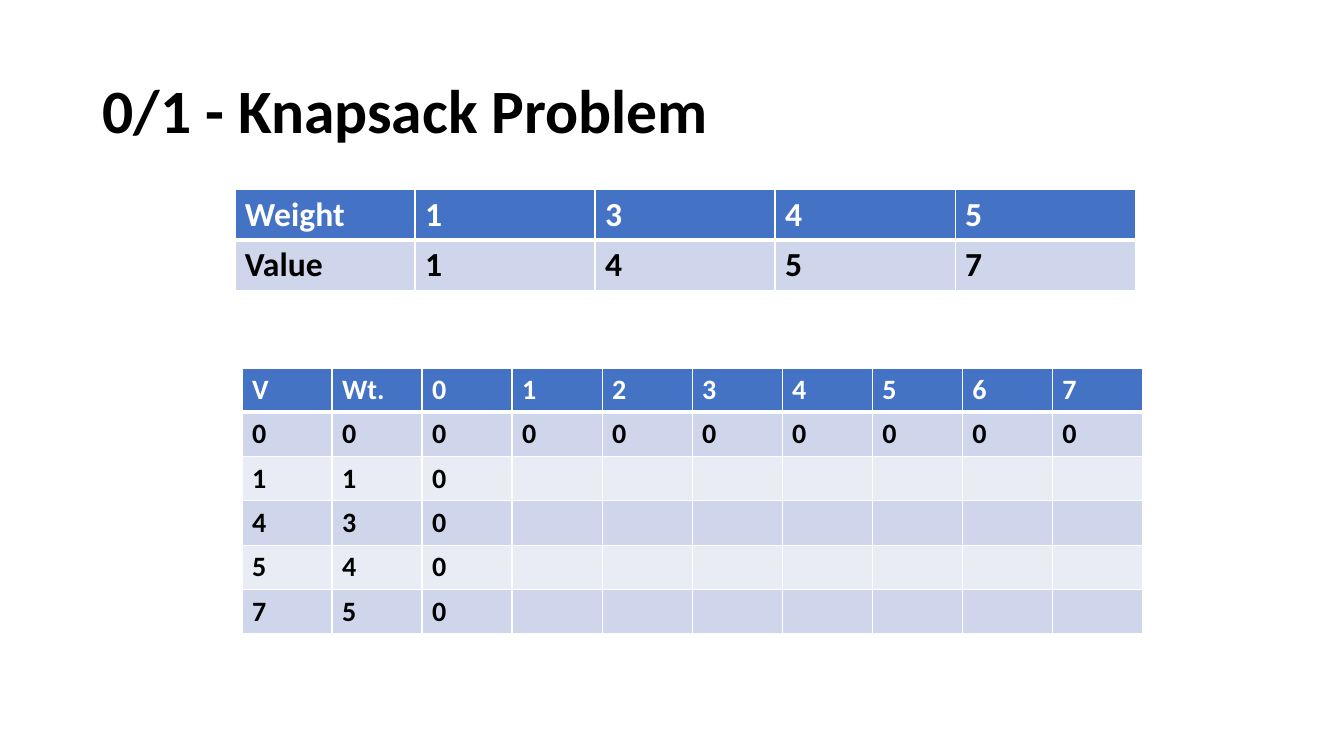
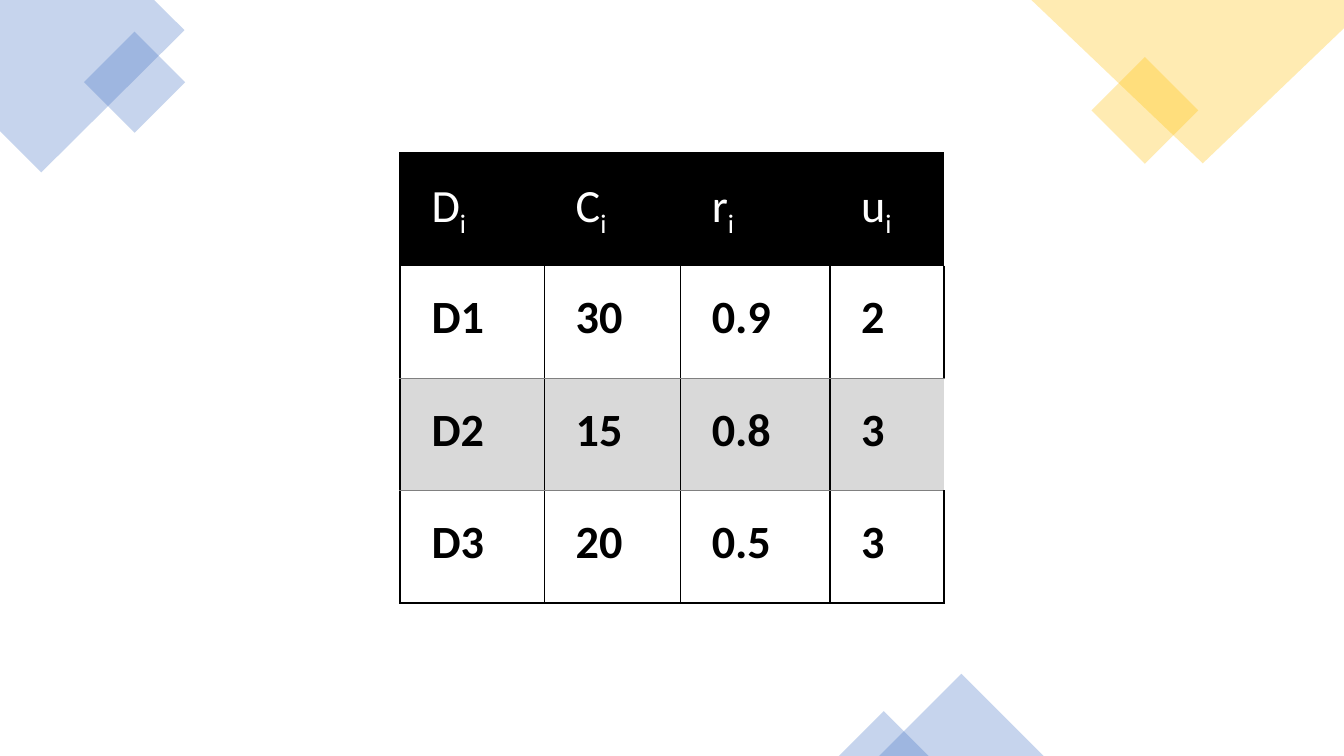
from pptx import Presentation
from pptx.dml.color import RGBColor
from pptx.enum.shapes import MSO_SHAPE
from pptx.enum.text import MSO_ANCHOR
from pptx.util import Inches, Pt
from lxml.etree import SubElement
from pptx.oxml.ns import qn

SLIDE_W, SLIDE_H = 13.33, 7.5
FONT = "Calibri"
WHITE = RGBColor(0xFF, 0xFF, 0xFF)
BLACK = RGBColor(0, 0, 0)
GREY = RGBColor(0x80, 0x80, 0x80)
BAND_GREY = RGBColor(0xD9, 0xD9, 0xD9)
BLUE = RGBColor(0x44, 0x72, 0xC4)
GOLD = RGBColor(0xFF, 0xC0, 0)
BAND_DARK = RGBColor(0xCF, 0xD5, 0xEA)
BAND_LIGHT = RGBColor(0xE9, 0xEB, 0xF5)
NO_GRID_STYLE = "{2D5ABB26-0587-4C30-8999-92F81FD0307C}"
OPACITY = 30

# Border sets: side -> (colour, width in points)
THIN, THICK = (WHITE, 1), (WHITE, 3)
FRAME, RULE = (BLACK, 1.5), (GREY, 0.5)
GRID_BODY = dict(L=THIN, R=THIN, T=THIN, B=THIN)
GRID_HEAD = dict(GRID_BODY, B=THICK)


def inches(*lengths):
    return [Inches(length) for length in lengths]


def add_text(paragraph, text, **formats):
    run = paragraph.add_run()
    run.text = text
    color = formats.pop("color")
    for name, value in dict(name=FONT, **formats).items():
        setattr(run.font, name, value)
    run.font.color.rgb = color
    return run


def add_title(slide, box, text):
    frame = slide.shapes.add_textbox(*inches(*box)).text_frame
    frame.word_wrap = True
    frame.vertical_anchor = MSO_ANCHOR.MIDDLE
    paragraph = frame.paragraphs[0]
    paragraph.line_spacing = 0.9
    add_text(paragraph, text, size=Pt(44), bold=True, color=BLACK)


# Tables
def add_plain_table(slide, box, n_rows, col_widths):
    """Table without a style; columns share the box by the given widths."""
    left, top, width, height = box
    table = slide.shapes.add_table(n_rows, len(col_widths), *inches(*box)).table
    table.first_row = table.horz_banding = False
    table._tbl.tblPr.find(qn("a:tableStyleId")).text = NO_GRID_STYLE
    for column, share in zip(table.columns, col_widths):
        column.width = Inches(width * share / sum(col_widths))
    for row in table.rows:
        row.height = Inches(height / n_rows)
    return table


def style_cell(cell, fill, borders):
    tcPr = cell._tc.get_or_add_tcPr()
    for side in "LRTB":  # order fixed by the schema
        if side in borders:
            color, width = borders[side]
            line = SubElement(tcPr, qn(f"a:ln{side}"), w=str(Pt(width)))
            solid = SubElement(line, qn("a:solidFill"))
            SubElement(solid, qn("a:srgbClr"), val=str(color))
    if fill is None:
        cell.fill.background()
    else:
        cell.fill.solid()
        cell.fill.fore_color.rgb = fill


def add_banded_table(slide, box, rows, size):
    n_cols = len(rows[0])
    table = add_plain_table(slide, box, len(rows), [1] * n_cols)
    for r, values in enumerate(rows):
        head = r == 0
        fill = BLUE if head else (BAND_LIGHT, BAND_DARK)[r % 2]
        for c in range(n_cols):
            cell = table.cell(r, c)
            style_cell(cell, fill, GRID_HEAD if head else GRID_BODY)
            if c < len(values):
                add_text(cell.text_frame.paragraphs[0], values[c], size=Pt(size),
                         bold=True, color=WHITE if head else BLACK)


def device_borders(r, c, last_row, last_col):
    if r == 0:
        return dict(T=FRAME, L=FRAME) if c == 0 else dict(T=FRAME)
    borders = dict(L=FRAME, R=FRAME)
    if r == 1:
        borders["B"] = RULE
    elif r == last_row:
        borders["B"] = FRAME
    else:
        borders["T"] = RULE
        if c == last_col:
            del borders["R"]
    return borders


def add_device_table(slide, box, symbols, devices, col_widths):
    rows = [symbols] + devices
    table = add_plain_table(slide, box, len(rows), col_widths)
    margins = dict(zip(("margin_left", "margin_top", "margin_right", "margin_bottom"),
                       inches(0.31, 0.24, 0.24, 0.24)))
    for r, values in enumerate(rows):
        fill = (BLACK, None, BAND_GREY, None)[r]
        for c, value in enumerate(values):
            cell = table.cell(r, c)
            style_cell(cell, fill, device_borders(r, c, len(devices), len(values) - 1))
            for name, margin in margins.items():
                setattr(cell, name, margin)
            paragraph = cell.text_frame.paragraphs[0]
            if r == 0:
                cell.vertical_anchor = MSO_ANCHOR.MIDDLE
                add_text(paragraph, value, size=Pt(33), color=WHITE)
                index = add_text(paragraph, "i", size=Pt(33), color=WHITE)
                index._r.get_or_add_rPr().set("baseline", "-25000")
            else:
                add_text(paragraph, value, size=Pt(33), bold=True, color=BLACK)


# Translucent corner decorations
def tint(shape, color):
    shape.shadow.inherit = False
    shape.line.fill.background()
    shape.fill.solid()
    shape.fill.fore_color.rgb = color
    srgb = shape._element.spPr.find(qn("a:solidFill")).find(qn("a:srgbClr"))
    SubElement(srgb, qn("a:alpha"), val=str(OPACITY * 1000))


def add_top_corner(slide, left, outline, square, color):
    """Cropped square along the top edge, with a small tilted square over it."""
    points = [tuple(inches(left + x, y)) for x, y in outline]
    builder = slide.shapes.build_freeform(*points[0])
    builder.add_line_segments(points[1:], close=True)
    tint(builder.convert_to_shape(), color)
    x, y, side = square
    tilted = slide.shapes.add_shape(MSO_SHAPE.RECTANGLE, *inches(left + x, y, side, side))
    tilted.rotation = 315
    tint(tilted, color)


def add_bottom_peaks(slide, peaks, color):
    """Triangles, twice as wide as high, standing on the bottom edge."""
    for left, width in peaks:
        height = width / 2
        box = inches(left, SLIDE_H - height, width, height)
        tint(slide.shapes.add_shape(MSO_SHAPE.ISOSCELES_TRIANGLE, *box), color)


# Slides
def build_knapsack(slide):
    add_title(slide, (0.92, 0.4, 11.5, 1.45), "0/1 - Knapsack Problem")
    weights, values = "1345", "1457"
    add_banded_table(slide, (2.33, 1.88, 8.93, 1),
                     [["Weight", *weights], ["Value", *values]], 24)
    steps = [["V", "Wt.", *"01234567"], ["0"] * 10]
    steps += [[value, weight, "0"] for value, weight in zip(values, weights)]
    add_banded_table(slide, (2.4, 3.65, 8.93, 2.64), steps, 20)


def build_devices(slide):
    add_top_corner(slide, 0, [(1.53, 0), (0, 0), (0, 1.3), (0.41, 1.71), (1.83, 0.3)],
                   (0.98, 0.46, 0.71), BLUE)
    add_top_corner(slide, 10.23, [(3.1, 0), (0, 0), (1.7, 1.62), (3.1, 0.28)],
                   (0.75, 0.72, 0.75), GOLD)
    add_bottom_peaks(slide, [(8.72, 1.63), (8.32, 0.89)], BLUE)
    add_device_table(slide, (3.97, 1.52, 5.39, 4.46), list("DCru"),
                     [["D1", "30", "0.9", "2"],
                      ["D2", "15", "0.8", "3"],
                      ["D3", "20", "0.5", "3"]],
                     [1.43, 1.35, 1.48, 1.13])


def main():
    deck = Presentation()
    deck.slide_width, deck.slide_height = inches(SLIDE_W, SLIDE_H)
    for build in (build_knapsack, build_devices):
        build(deck.slides.add_slide(deck.slide_layouts[6]))
    deck.save("out.pptx")


if __name__ == "__main__":
    main()
